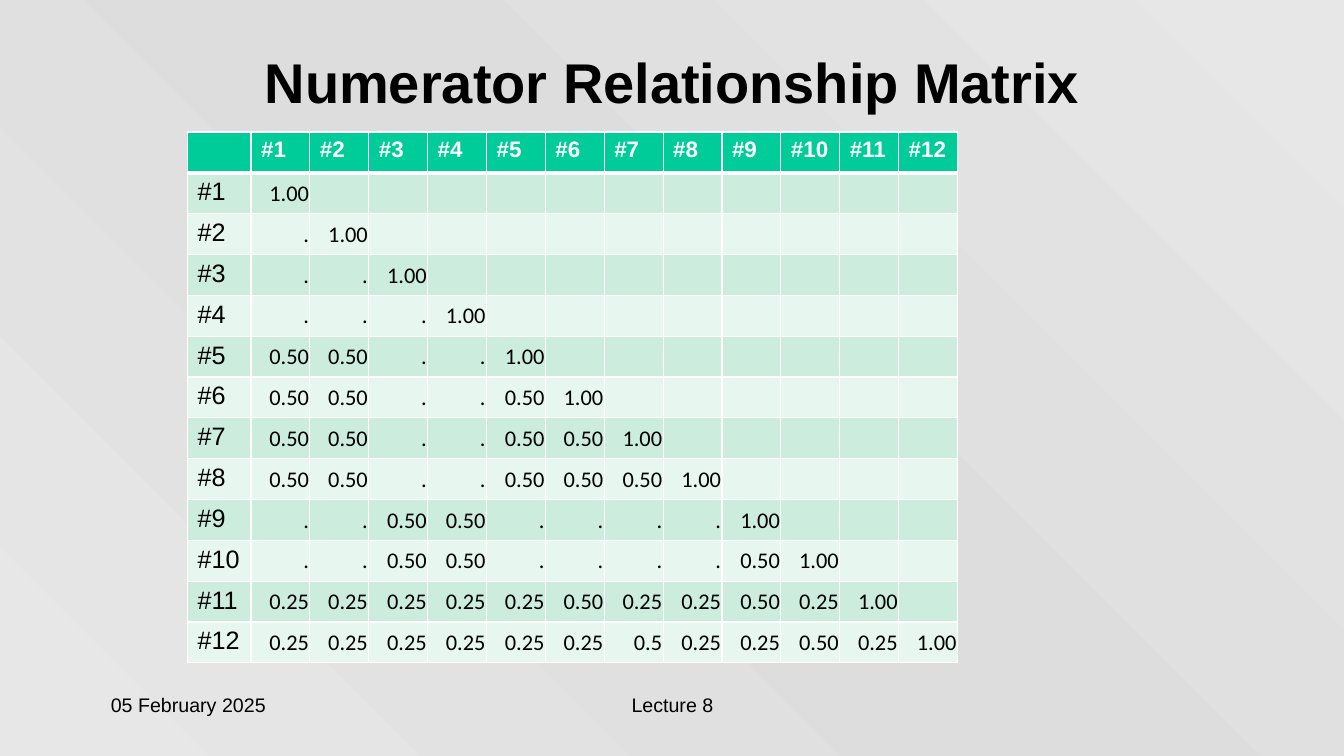
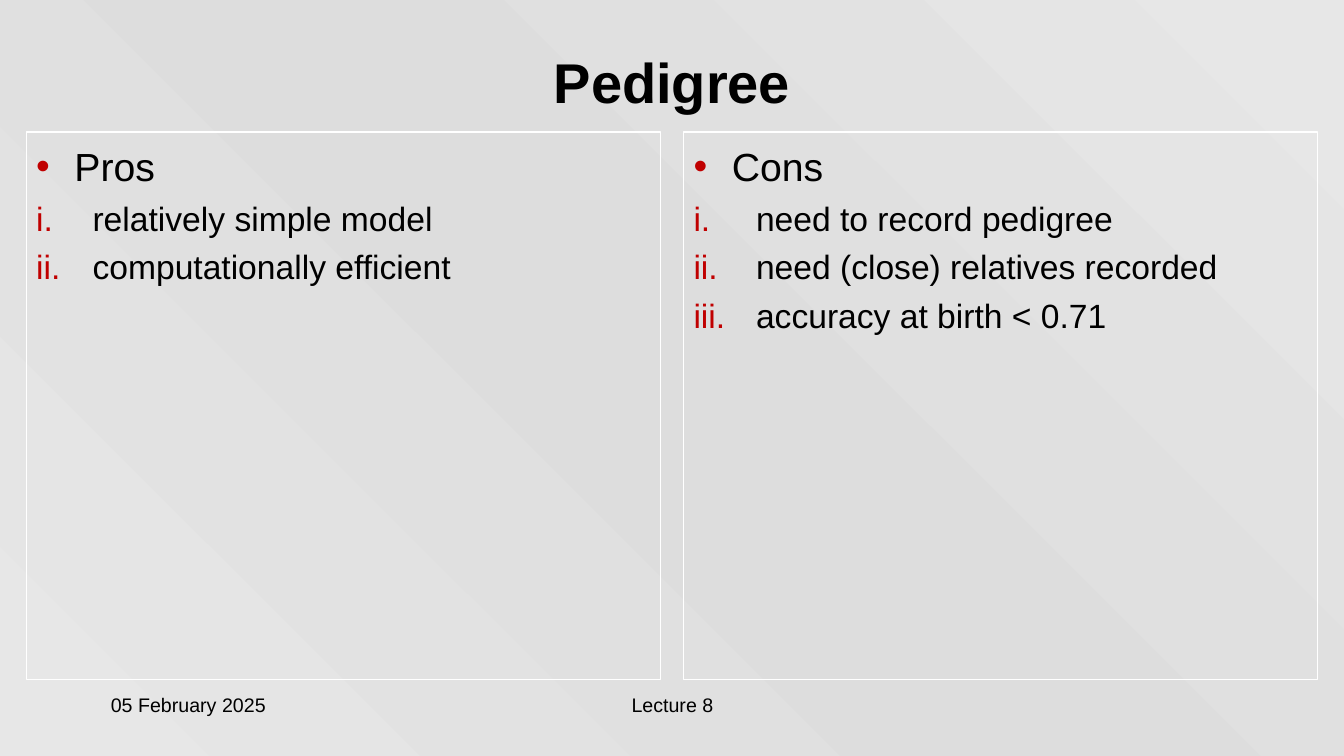
"""Build the two lecture slides on pedigree relationships."""
from copy import deepcopy
from dataclasses import dataclass

from lxml.etree import SubElement
from pptx import Presentation
from pptx.dml.color import RGBColor as RGB
from pptx.enum.shapes import MSO_SHAPE as Preset
from pptx.enum.text import MSO_ANCHOR as Anchor, PP_ALIGN as Align
from pptx.oxml.ns import qn
from pptx.util import Inches, Pt


@dataclass(frozen=True)
class Theme:
    font: str = "Arial"
    number_font: str = "Calibri"
    ink: str = "000000"
    white: str = "FFFFFF"
    bullet: str = "C00000"
    header: str = "00CC99"
    bands: tuple = ("CCECDE", "E7F6EF")
    backdrop: tuple = ("E7E7E7", "DDDDDD", "E7E7E7")
    title_size: int = 40
    heading_size: int = 28
    item_size: int = 24
    label_size: int = 18
    cell_size: int = 16
    footer_size: int = 14


class LectureDeck:
    def __init__(self, theme):
        self.theme = theme
        self.deck = Presentation()
        self.deck.slide_width = Inches(13.33)
        self.deck.slide_height = Inches(7.5)
        self.page = None

    def new_page(self, title):
        self.page = self.deck.slides.add_slide(self.deck.slide_layouts[6])
        self.backdrop()
        theme = self.theme
        self.text(title, (0.26, 0.3, 12.81, 1.01), theme.title_size,
                  Align.CENTER, Anchor.MIDDLE, bold=True)
        self.text("05 February 2025", (1, 6.83, 2.78, 0.5), theme.footer_size)
        self.text("Lecture 8", (4.56, 6.83, 4.22, 0.5), theme.footer_size, Align.CENTER)

    def backdrop(self):
        fill = self.page.background.fill
        fill.gradient()
        fill.gradient_angle = 45
        stops = self.page.element.find(".//" + qn("a:gsLst"))
        stops.append(deepcopy(stops[0]))
        for index, (stop, color) in enumerate(zip(fill.gradient_stops, self.theme.backdrop)):
            stop.position = index / 2
            stop.color.rgb = RGB.from_string(color)

    def span(self, para, text, size, color=None, font=None, bold=False):
        span = para.add_run()
        span.text = text
        span.font.name = font or self.theme.font
        span.font.size = Pt(size)
        span.font.bold = bold
        span.font.color.rgb = RGB.from_string(color or self.theme.ink)

    def text(self, text, place, size, align=Align.LEFT, anchor=Anchor.TOP, bold=False):
        box = self.page.shapes.add_textbox(*map(Inches, place))
        frame = box.text_frame
        frame.word_wrap = True
        frame.vertical_anchor = anchor
        para = frame.paragraphs[0]
        para.alignment = align
        self.span(para, text, size, bold=bold)

    def bullet(self, para, kind, indent, **settings):
        props = para._p.get_or_add_pPr()
        props.set("marL", str(Inches(indent)))
        props.set("indent", str(-Inches(indent)))
        color = SubElement(props, qn("a:buClr"))
        SubElement(color, qn("a:srgbClr"), val=self.theme.bullet)
        SubElement(props, qn("a:buFont"), typeface=self.theme.font)
        SubElement(props, qn(kind), **settings)

    def panel(self, left, heading, items, item_indent):
        box = self.page.shapes.add_shape(
            Preset.RECTANGLE, *map(Inches, (left, 1.31, 6.29, 5.43)))
        box.shadow.inherit = False
        box.fill.background()
        box.line.color.rgb = RGB.from_string(self.theme.white)
        box.line.width = Pt(0.75)
        frame = box.text_frame
        frame.word_wrap = True
        frame.vertical_anchor = Anchor.TOP
        frame.margin_top = Inches(0.1)
        para = frame.paragraphs[0]
        self.bullet(para, "a:buChar", 0.38, char="•")
        para.alignment = Align.LEFT
        self.span(para, heading, self.theme.heading_size)
        for item in items:
            para = frame.add_paragraph()
            self.bullet(para, "a:buAutoNum", item_indent, type="romanLcPeriod")
            para.alignment = Align.LEFT
            para.space_before = Pt(6)
            self.span(para, item, self.theme.item_size)

    def paint(self, cell, color, top=1, bottom=1):
        props = cell._tc.get_or_add_tcPr()
        for side, width in (("L", 1), ("R", 1), ("T", top), ("B", bottom)):
            line = SubElement(props, qn("a:ln" + side), w=str(Pt(width)))
            SubElement(SubElement(line, qn("a:solidFill")), qn("a:srgbClr"),
                       val=self.theme.white)
        cell.fill.solid()
        cell.fill.fore_color.rgb = RGB.from_string(color)

    def number(self, cell, value):
        cell.vertical_anchor = Anchor.MIDDLE
        cell.margin_left = cell.margin_top = cell.margin_right = Inches(0.01)
        cell.margin_bottom = 0
        para = cell.text_frame.paragraphs[0]
        para.alignment = Align.RIGHT
        self.span(para, value, self.theme.cell_size, font=self.theme.number_font)

    def matrix(self, rows):
        theme = self.theme
        count = len(rows)
        width, height, label_width = 7.64, 5.27, 0.63
        table = self.page.shapes.add_table(
            count + 1, count + 1, *map(Inches, (1.86, 1.31, width, height))).table
        for index in range(count + 1):
            table.rows[index].height = Inches(height / (count + 1))
            table.columns[index].width = Inches(
                (width - label_width) / count if index else label_width)
            header = table.cell(0, index)
            self.paint(header, theme.header, bottom=3)
            if index:
                self.span(header.text_frame.paragraphs[0], f"#{index}",
                          theme.cell_size, theme.white, bold=True)
        for row, values in enumerate(rows, 1):
            for column in range(count + 1):
                self.paint(table.cell(row, column), theme.bands[(row - 1) % 2],
                           top=3 if row == 1 else 1)
            self.span(table.cell(row, 0).text_frame.paragraphs[0], f"#{row}",
                      theme.label_size)
            for column, value in enumerate(values.split(), 1):
                self.number(table.cell(row, column), value)


RELATIONSHIPS = (
    "1.00",
    ". 1.00",
    ". . 1.00",
    ". . . 1.00",
    "0.50 0.50 . . 1.00",
    "0.50 0.50 . . 0.50 1.00",
    "0.50 0.50 . . 0.50 0.50 1.00",
    "0.50 0.50 . . 0.50 0.50 0.50 1.00",
    ". . 0.50 0.50 . . . . 1.00",
    ". . 0.50 0.50 . . . . 0.50 1.00",
    "0.25 0.25 0.25 0.25 0.25 0.50 0.25 0.25 0.50 0.25 1.00",
    "0.25 0.25 0.25 0.25 0.25 0.25 0.5 0.25 0.25 0.50 0.25 1.00",
)


def main():
    lecture = LectureDeck(Theme())
    lecture.new_page("Numerator Relationship Matrix")
    lecture.matrix(RELATIONSHIPS)
    lecture.new_page("Pedigree")
    lecture.panel(0.26, "Pros", ("relatively simple model", "computationally efficient"), 0.56)
    lecture.panel(6.78, "Cons", ("need to record pedigree", "need (close) relatives recorded",
                                 "accuracy at birth < 0.71"), 0.62)
    lecture.deck.save("out.pptx")


if __name__ == "__main__":
    main()
